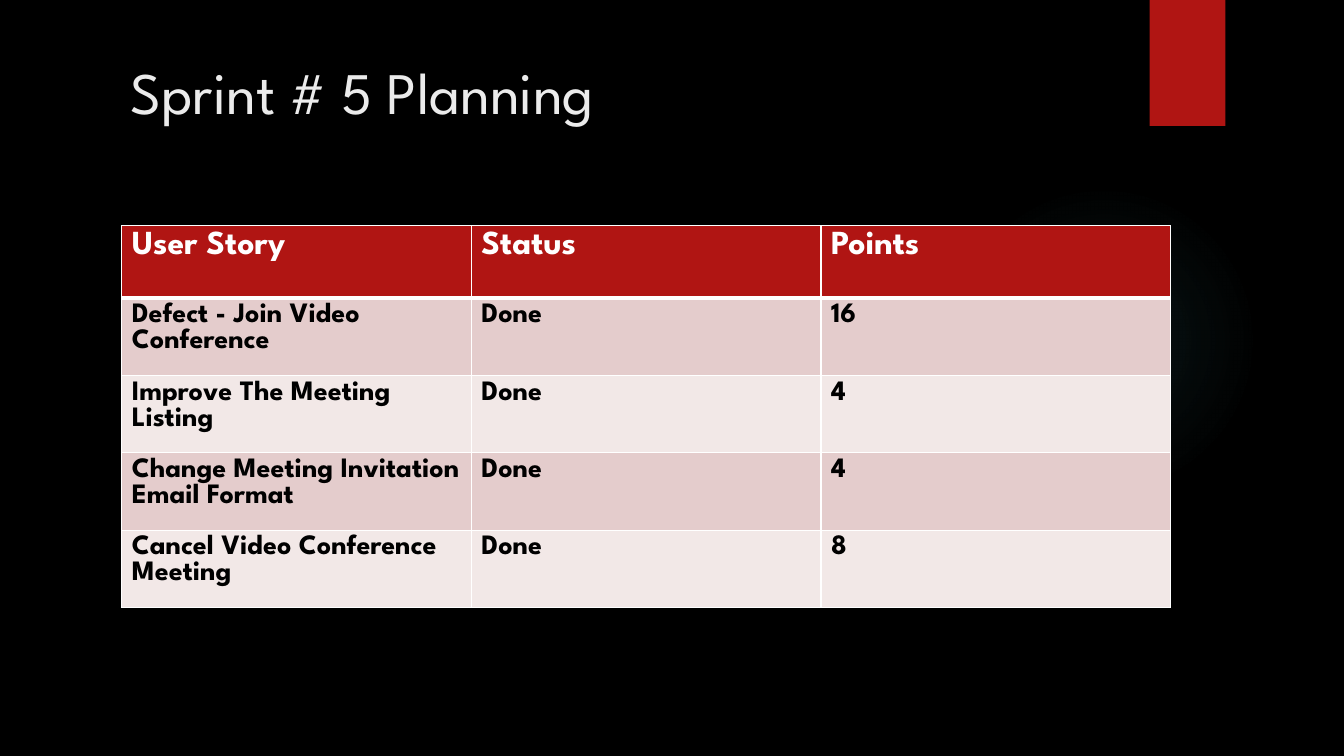
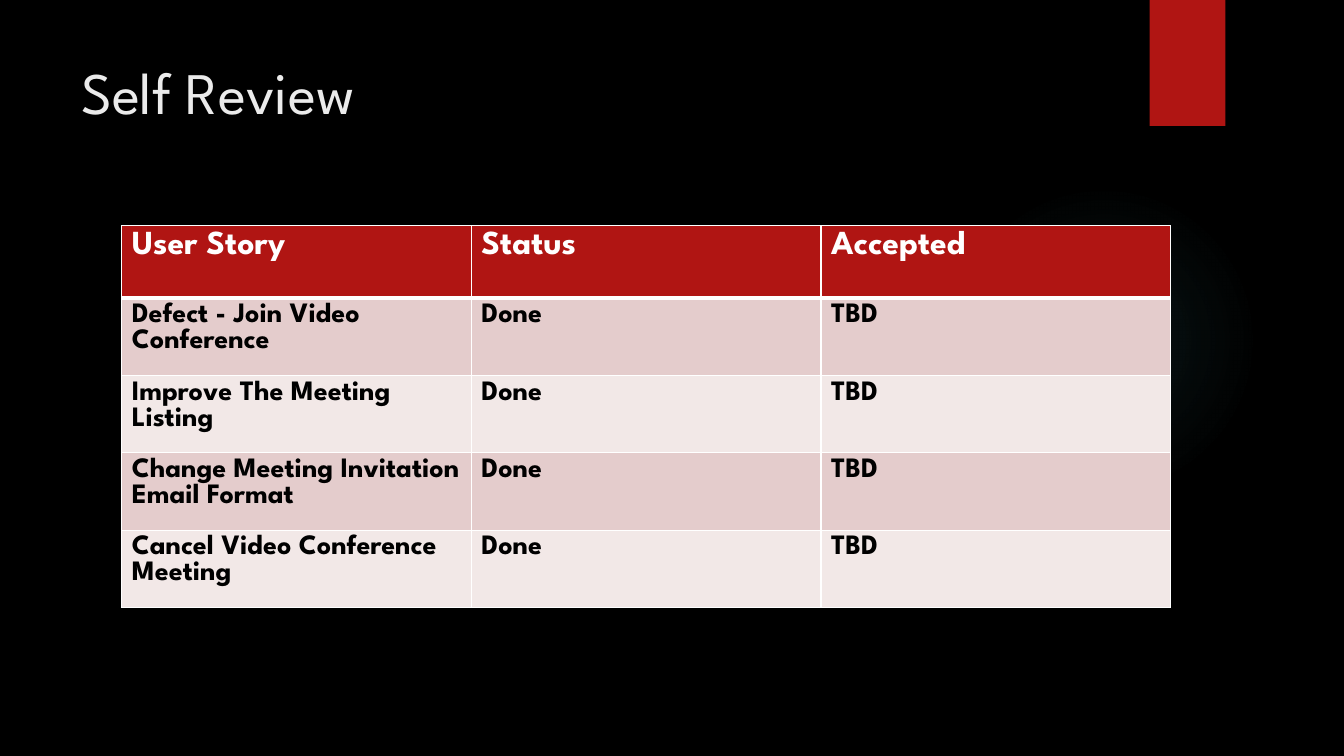
import lxml.etree
import pptx
import pptx.dml.color
import pptx.enum.shapes
import pptx.enum.text
import pptx.oxml
import pptx.oxml.ns
import pptx.util

PX = 9525
FONT = "League Spartan"
COLORS = {
    "background": "000000",
    "accent": "B01513",
    "glow": "50B9C1",
    "title": "EBEBEB",
    "white": "FFFFFF",
    "body": "000000",
    "odd_row": "E4CCCC",
    "even_row": "F2E8E7",
}
TABLE_LEFT, TABLE_TOP = 116, 215
COLUMN_WIDTH, ROW_HEIGHT = 333, 69
GLOW_STOPS = ((0, 7), (36, 6), (69, 0))
STORIES = (
    "Defect - Join Video Conference",
    "Improve The Meeting Listing",
    "Change Meeting Invitation Email Format",
    "Cancel Video Conference Meeting",
)
SLIDES = (
    ("Sprint # 5 Planning", 115, "Points", ("16", "4", "4", "8")),
    ("Self Review", 68, "Accepted", ("TBD",) * len(STORIES)),
)


def px(*lengths):
    return [pptx.util.Emu(length * PX) for length in lengths]


def color(name):
    return pptx.dml.color.RGBColor.from_string(COLORS[name])


def paint(fill, name):
    fill.solid()
    fill.fore_color.rgb = color(name)


def write(text_frame, text, size, color_name, bold=False):
    text_frame.text = text
    font = text_frame.paragraphs[0].runs[0].font
    font.name = FONT
    font.size = pptx.util.Pt(size)
    font.bold = bold
    font.color.rgb = color(color_name)


def add_plain_shape(slide, kind, *box):
    shape = slide.shapes.add_shape(kind, *px(*box))
    shape.shadow.inherit = False
    shape.line.fill.background()
    return shape


def add_glow(slide):
    shape = add_plain_shape(slide, pptx.enum.shapes.MSO_SHAPE.OVAL, 903, 176, 296, 296)
    stops = "".join(
        f'<a:gs pos="{position * 1000}"><a:srgbClr val="{COLORS["glow"]}">'
        f'<a:alpha val="{alpha * 1000}"/></a:srgbClr></a:gs>'
        for position, alpha in GLOW_STOPS
    )
    gradient = pptx.oxml.parse_xml(
        f'<a:gradFill {pptx.oxml.ns.nsdecls("a")} rotWithShape="1"><a:gsLst>{stops}</a:gsLst>'
        '<a:path path="circle"><a:fillToRect l="50000" t="50000" r="50000" b="50000"/>'
        '</a:path></a:gradFill>'
    )
    geometry = shape.element.spPr.find(pptx.oxml.ns.qn("a:prstGeom"))
    geometry.addnext(gradient)


def add_ribbon(slide):
    shape = add_plain_shape(slide, pptx.enum.shapes.MSO_SHAPE.RECTANGLE, 1095, 0, 72, 120)
    paint(shape.fill, "accent")


def add_title(slide, text, left):
    shape = slide.shapes.add_textbox(*px(left, 48, 1055 - left, 147))
    shape.text_frame.word_wrap = True
    shape.text_frame.vertical_anchor = pptx.enum.text.MSO_ANCHOR.TOP
    write(shape.text_frame, text, 42, "title")


def set_borders(cell, top, bottom):
    properties = cell._tc.get_or_add_tcPr()
    widths = {"lnL": 1, "lnR": 1, "lnT": top, "lnB": bottom}
    for index, (side, width) in enumerate(widths.items()):
        line = pptx.oxml.parse_xml(
            f'<a:{side} {pptx.oxml.ns.nsdecls("a")} w="{pptx.util.Pt(width)}"><a:solidFill>'
            f'<a:srgbClr val="{COLORS["white"]}"/></a:solidFill></a:{side}>'
        )
        properties.insert(index, line)


def add_story_table(slide, rows):
    row_count, column_count = len(rows), len(rows[0])
    box = px(TABLE_LEFT, TABLE_TOP, COLUMN_WIDTH * column_count, ROW_HEIGHT * row_count)
    table = slide.shapes.add_table(row_count, column_count, *box).table
    for row_index, row in enumerate(rows):
        header = row_index == 0
        fill = "accent" if header else "odd_row" if row_index % 2 else "even_row"
        size, text_color = (24, "white") if header else (20, "body")
        for column_index, text in enumerate(row):
            cell = table.cell(row_index, column_index)
            write(cell.text_frame, text, size, text_color, bold=True)
            paint(cell.fill, fill)
            set_borders(cell, 3 if row_index == 1 else 1, 3 if header else 1)


def add_story_slide(presentation, title, title_left, result_heading, results):
    slide = presentation.slides.add_slide(presentation.slide_layouts[6])
    paint(slide.background.fill, "background")
    add_glow(slide)
    add_ribbon(slide)
    add_title(slide, title, title_left)
    rows = [("User Story", "Status", result_heading)]
    rows += [(story, "Done", result) for story, result in zip(STORIES, results)]
    add_story_table(slide, rows)


def main():
    presentation = pptx.Presentation()
    presentation.slide_width, presentation.slide_height = px(1280, 720)
    for content in SLIDES:
        add_story_slide(presentation, *content)
    presentation.save("out.pptx")


if __name__ == "__main__":
    main()
